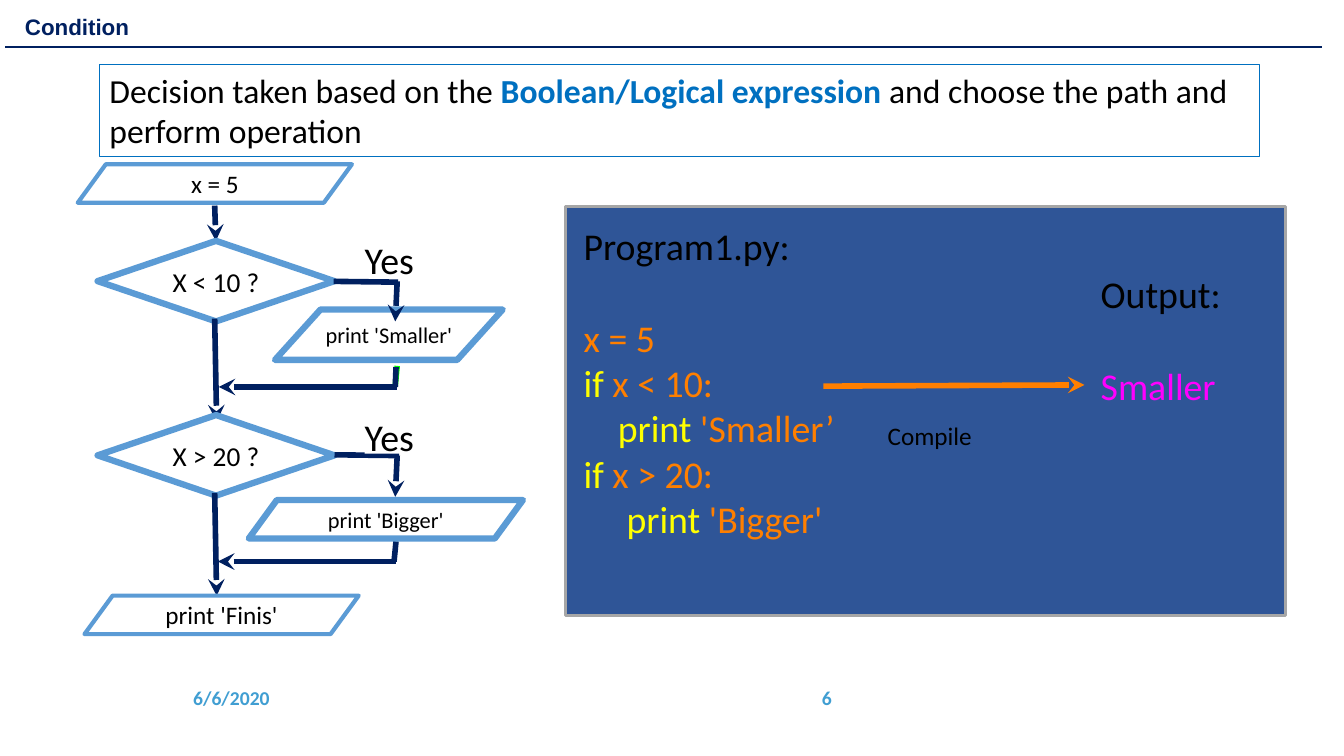
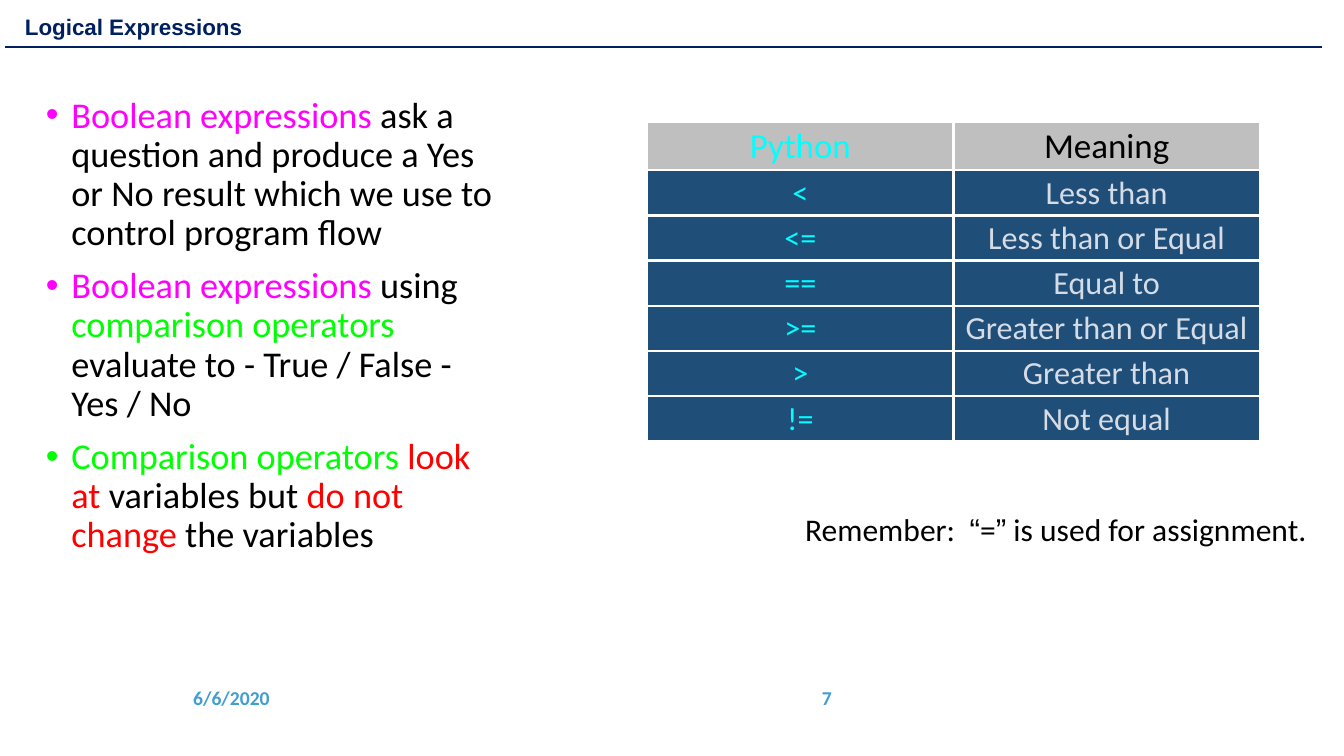
from dataclasses import dataclass
from typing import NamedTuple, Optional

from lxml.etree import SubElement
from pptx import Presentation
from pptx.dml.color import RGBColor
from pptx.enum.shapes import MSO_CONNECTOR, MSO_SHAPE
from pptx.enum.text import MSO_ANCHOR as Anchor, PP_ALIGN as Align
from pptx.oxml.ns import qn
from pptx.util import Cm, Pt

# Shared style
BLACK = RGBColor(0x00, 0x00, 0x00)
WHITE = RGBColor(0xFF, 0xFF, 0xFF)
NAVY = RGBColor(0x00, 0x20, 0x60)
FOOTER_BLUE = RGBColor(0x40, 0x9E, 0xD2)
ACCENT = RGBColor(0x00, 0x70, 0xC0)
OUTLINE = RGBColor(0x5B, 0x9B, 0xD5)
PANEL = RGBColor(0x2F, 0x55, 0x97)
PANEL_EDGE = RGBColor(0xA6, 0xA6, 0xA6)
ORANGE = RGBColor(0xFF, 0x7F, 0x00)
YELLOW = RGBColor(0xFF, 0xFF, 0x00)
MAGENTA = RGBColor(0xFF, 0x00, 0xFF)
GREEN = RGBColor(0x00, 0xFF, 0x00)
RED = RGBColor(0xFF, 0x00, 0x00)
CYAN = RGBColor(0x00, 0xFF, 0xFF)
HEADER_GRAY = RGBColor(0xBF, 0xBF, 0xBF)
CELL_BLUE = RGBColor(0x1F, 0x4E, 0x79)
CELL_TEXT = RGBColor(0xD6, 0xDC, 0xE5)
BODY_FONT, TITLE_FONT = "Calibri", "Arial"
CODE_SIZE = 27
BLANK_LINE = 33  # points left open between groups of code lines
DEFAULT_INSETS = (0.25, 0.13)
NO_INSETS = (0, 0)


class Area(NamedTuple):
    left: float
    top: float
    width: float
    height: float


class Span(NamedTuple):
    text: str
    color: Optional[RGBColor] = None
    bold: bool = False
    font: Optional[str] = None


@dataclass
class Para:
    spans: list[Span]
    before: float = 0
    indent: float = 0


@dataclass
class Node:
    shape: MSO_SHAPE
    area: Area
    text: str
    size: float
    line_width: float = 4.5


@dataclass
class Line:
    start: tuple[float, float]
    end: tuple[float, float]
    color: RGBColor = NAVY
    width: float = 4
    arrow: bool = False  # the arrowhead sits at the start


# Text and shape helpers
def write(frame, content, *, size: float, font: str = BODY_FONT,
          color: RGBColor = BLACK, bold: bool = False, align=Align.LEFT,
          anchor=Anchor.TOP, insets=DEFAULT_INSETS, wrap: bool = True,
          spacing: Optional[float] = None, bullet: str = "") -> None:
    """Write a string or a list of Para into a text frame."""
    paras = [Para([Span(content)])] if isinstance(content, str) else content
    frame.word_wrap = wrap
    frame.vertical_anchor = anchor
    frame.margin_left = frame.margin_right = Cm(insets[0])
    frame.margin_top = frame.margin_bottom = Cm(insets[1])
    for index, para in enumerate(paras):
        line = frame.add_paragraph() if index else frame.paragraphs[0]
        line.alignment = align
        line.space_before = Pt(para.before)
        if spacing:
            line.line_spacing = spacing
        properties = line._p.get_or_add_pPr()
        if para.indent:
            properties.set("marL", str(Cm(para.indent)))
        if bullet:
            properties.set("indent", str(Cm(-0.64)))
            SubElement(properties, qn("a:buFont"), typeface=TITLE_FONT)
            SubElement(properties, qn("a:buChar"), char=bullet)
        for span in para.spans:
            run = line.add_run()
            run.text = span.text
            run.font.name = span.font or font
            run.font.size = Pt(size)
            run.font.bold = bold or span.bold
            run.font.color.rgb = span.color or color


def add_text(page, area: Area, content, **style) -> None:
    box = page.shapes.add_textbox(*map(Cm, area))
    write(box.text_frame, content, **style)


def add_box(page, area: Area, *, shape=MSO_SHAPE.RECTANGLE, fill=None,
            line=None, line_width: float = 1):
    box = page.shapes.add_shape(shape, *map(Cm, area))
    box.shadow.inherit = False
    if fill is None:
        box.fill.background()
    else:
        box.fill.solid()
        box.fill.fore_color.rgb = fill
    if line is None:
        box.line.fill.background()
    else:
        box.line.color.rgb = line
        box.line.width = Pt(line_width)
    return box


def add_line(page, line: Line) -> None:
    connector = page.shapes.add_connector(
        MSO_CONNECTOR.STRAIGHT, *map(Cm, line.start + line.end))
    connector.line.color.rgb = line.color
    connector.line.width = Pt(line.width)
    if line.arrow:
        SubElement(connector.line._get_or_add_ln(), qn("a:headEnd"), type="stealth")
    SubElement(connector._element.spPr, qn("a:effectLst"))


def add_node(page, node: Node) -> None:
    box = add_box(page, node.area, shape=node.shape, fill=WHITE,
                  line=OUTLINE, line_width=node.line_width)
    if node.shape == MSO_SHAPE.PARALLELOGRAM:
        box.adjustments[0] = 0.73
    write(box.text_frame, node.text, size=node.size, align=Align.CENTER,
          anchor=Anchor.MIDDLE, insets=NO_INSETS)


def add_page(deck, title: str, number: int):
    """Add a page with the shared footer, title and title rule."""
    page = deck.slides.add_slide(deck.slide_layouts[6])
    footer = dict(size=14, color=FOOTER_BLUE, bold=True, anchor=Anchor.MIDDLE)
    add_text(page, Area(4.62, 17.07, 3.51, 1.02), "6/6/2020", **footer)
    add_text(page, Area(13.51, 17.07, 7.7, 1.02), str(number),
             align=Align.RIGHT, **footer)
    heading = add_box(page, Area(0.38, 0.25, 22.96, 0.89), fill=WHITE)
    write(heading.text_frame, title, size=16, font=TITLE_FONT, color=NAVY,
          bold=True, anchor=Anchor.BOTTOM, spacing=0.9)
    add_line(page, Line((0.13, 1.19), (33.32, 1.19), width=1.5))
    return page


# Flowchart, from back to front
DIAMOND, DATA, SLANTED = (
    MSO_SHAPE.DIAMOND, MSO_SHAPE.FLOWCHART_DATA, MSO_SHAPE.PARALLELOGRAM)
FLOWCHART = [
    Line((5.44, 6.07), (5.41, 5.18), arrow=True),
    Node(DIAMOND, Area(2.46, 6.07, 5.97, 2.03), "X < 10 ?", 19.5),
    Line((5.46, 10.62), (5.41, 8.03), arrow=True),
    Node(DATA, Area(6.93, 7.8, 5.74, 1.27), "print 'Smaller'", 16),
    Line((10.03, 7.11), (8.41, 7.09)),
    Line((9.96, 8.1), (10.01, 7.09), arrow=True),
    Line((10.01, 9.22), (9.96, 9.73), GREEN),
    Line((5.51, 9.75), (10.01, 9.75), arrow=True),
    Node(DIAMOND, Area(2.46, 10.46, 5.97, 2.03), "X > 20 ?", 19.5),
    Line((5.46, 15.01), (5.41, 12.42), arrow=True),
    Line((9.96, 12.52), (10.01, 11.48), arrow=True),
    Line((9.98, 13.64), (9.93, 14.15)),
    Line((5.49, 14.15), (9.98, 14.15), arrow=True),
    Line((9.98, 9.25), (9.96, 9.75)),
    Line((10.06, 11.48), (8.43, 11.46)),
    Node(SLANTED, Area(2.13, 15.01, 6.91, 0.97), "print 'Finis'", 18, 3),
    Node(SLANTED, Area(1.96, 4.14, 6.91, 0.97), "x = 5", 18, 3),
    Node(SLANTED, Area(6.27, 12.6, 6.91, 0.97), "print 'Bigger'", 16),
]

PROGRAM = [
    Para([Span("Program1.py:")]),
    Para([Span("x = 5", ORANGE)], before=BLANK_LINE),
    Para([Span("if", YELLOW), Span(" x < 10:", ORANGE)]),
    Para([Span("print", YELLOW), Span(" 'Smaller’", ORANGE)], indent=0.86),
    Para([Span("if", YELLOW), Span(" x > 20:", ORANGE)]),
    Para([Span("print", YELLOW), Span(" 'Bigger'", ORANGE)], indent=1.08),
]
OUTPUT = [
    Para([Span("Output:")]),
    Para([Span("Smaller", MAGENTA)], before=BLANK_LINE),
]
DECISION = [Para([
    Span("Decision taken based on the "),
    Span("Boolean/Logical expression ", ACCENT, bold=True),
    Span("and choose the path and perform operation"),
])]


def draw_condition(deck) -> None:
    page = add_page(deck, "Condition", 6)

    # Program and its output
    add_box(page, Area(14.25, 5.21, 18.14, 10.31), fill=PANEL,
            line=PANEL_EDGE, line_width=2.25)
    add_text(page, Area(27.74, 6.83, 3.05, 4.17), OUTPUT, size=CODE_SIZE,
             insets=NO_INSETS, wrap=False)
    add_line(page, Line((27.33, 9.7), (20.75, 9.73), ORANGE, arrow=True))
    add_text(page, Area(14.71, 5.61, 15.37, 8.33), PROGRAM, size=CODE_SIZE,
             insets=NO_INSETS)
    add_text(page, Area(22.12, 10.46, 5.21, 0.91), "Compile", size=18)

    # Flowchart
    for part in FLOWCHART:
        if isinstance(part, Node):
            add_node(page, part)
        else:
            add_line(page, part)
    for top in (6.1, 10.54):
        label = add_box(page, Area(9.19, top, 1.24, 0.89), fill=WHITE)
        write(label.text_frame, "Yes", size=CODE_SIZE, anchor=Anchor.MIDDLE,
              insets=NO_INSETS, wrap=False)

    # Statement
    statement = add_box(page, Area(2.51, 1.63, 29.24, 2.31), line=ACCENT,
                        line_width=0.75)
    write(statement.text_frame, DECISION, size=24)


# Logical expressions
BULLETS = [
    [Span("Boolean expressions", MAGENTA),
     Span(" ask a question and produce a Yes or No result which we use to "
          "control program flow")],
    [Span("Boolean expressions", MAGENTA), Span(" using "),
     Span("comparison operators ", GREEN),
     Span("evaluate to - True / False - Yes / No")],
    [Span("Comparison operators ", GREEN), Span("look at", RED),
     Span(" variables but "), Span("do not change", RED),
     Span(" the variables")],
]
REMINDER = [Para([
    Span("Remember:  "), Span("“", font=TITLE_FONT), Span("="),
    Span("”", font=TITLE_FONT), Span(" is used for assignment."),
])]
OPERATORS = [
    ("Python", "Meaning"),
    ("<", "Less than"),
    ("<=", "Less than or Equal"),
    ("==", "Equal to"),
    (">=", "Greater than or Equal"),
    (">", "Greater than"),
    ("!=", "Not equal"),
]


def style_cell(cell, fill: RGBColor) -> None:
    properties = cell._tc.get_or_add_tcPr()
    for side in ("lnL", "lnR", "lnT", "lnB"):
        border = SubElement(properties, qn(f"a:{side}"), w=str(Pt(2)))
        solid = SubElement(border, qn("a:solidFill"))
        SubElement(solid, qn("a:srgbClr"), val=str(WHITE))
    cell.fill.solid()
    cell.fill.fore_color.rgb = fill


def add_operator_table(page) -> None:
    area = Area(16.31, 3.07, 15.44, 8.03)
    table = page.shapes.add_table(len(OPERATORS), 2, *map(Cm, area)).table
    for row, texts in enumerate(OPERATORS):
        header = row == 0
        table.rows[row].height = Cm(1.19 if header else 1.14)
        for column, text in enumerate(texts):
            cell = table.cell(row, column)
            style_cell(cell, HEADER_GRAY if header else CELL_BLUE)
            meaning_color = BLACK if header else CELL_TEXT
            write(cell.text_frame, text, size=25 if header else 23,
                  color=meaning_color if column else CYAN, align=Align.CENTER)
            cell.vertical_anchor = Anchor.MIDDLE
            cell.margin_left = cell.margin_right = Cm(0.08)
            cell.margin_top = cell.margin_bottom = Cm(0.08)


def draw_expressions(deck) -> None:
    page = add_page(deck, "Logical Expressions", 7)
    add_text(page, Area(0, 2.31, 12.88, 11.89),
             [Para(spans, before=10, indent=1.55) for spans in BULLETS],
             size=25.9, spacing=0.9, bullet="•")
    add_text(page, Area(20.29, 12.85, 13.03, 0.97), REMINDER, size=22.5,
             anchor=Anchor.MIDDLE, insets=NO_INSETS, wrap=False)
    add_operator_table(page)


deck = Presentation()
deck.slide_width, deck.slide_height = Cm(33.87), Cm(19.05)
draw_condition(deck)
draw_expressions(deck)
deck.save("out.pptx")
